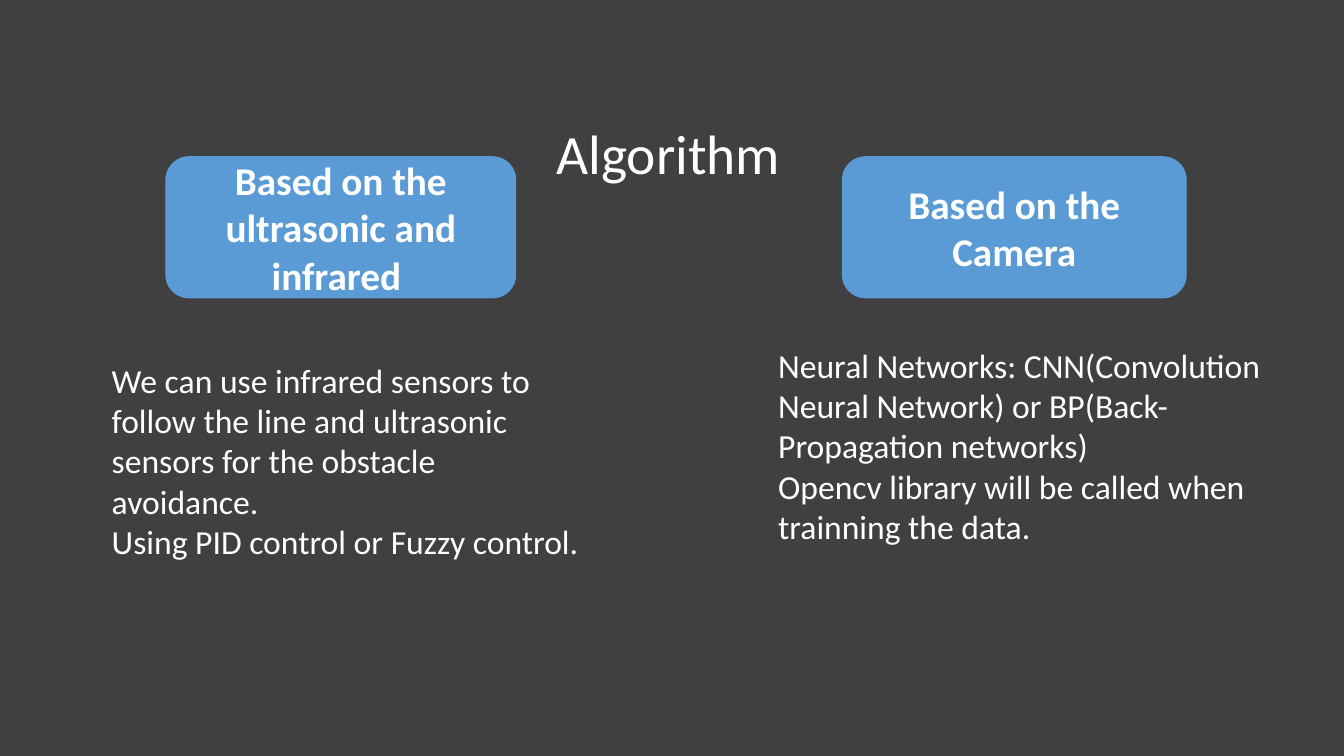
from dataclasses import dataclass

from pptx import Presentation
from pptx.dml.color import RGBColor
from pptx.enum import shapes, text
from pptx.slide import Slide
from pptx.text.text import TextFrame
from pptx.util import Inches, Pt

COLOURS = {"background": "404040", "heading": "5B9BD5", "text": "FFFFFF"}
FONT = "Calibri"
HEADING_TOP, HEADING_HEIGHT = 1.55, 1.41
DETAILS_HEIGHT = 2.13


@dataclass(frozen=True)
class Approach:
    heading: str
    heading_left: float
    heading_width: float
    details: tuple[str, ...]
    details_left: float
    details_top: float
    details_width: float


APPROACHES = (
    Approach(
        "Based on the ultrasonic and infrared ", 1.64, 3.48,
        ("We can use infrared sensors to follow the line and ultrasonic "
         "sensors for the obstacle avoidance.",
         "Using PID control or Fuzzy control."),
        1.01, 3.52, 4.92,
    ),
    Approach(
        "Based on the Camera", 8.35, 3.42,
        ("Neural Networks: CNN(Convolution Neural Network) or "
         "BP(Back-Propagation networks)",
         "Opencv library will be called when trainning the data."),
        7.62, 3.37, 5.06,
    ),
)


def colour(name: str) -> RGBColor:
    return RGBColor.from_string(COLOURS[name])


def write(frame: TextFrame, wording: str, size: float, bold: bool = False,
          align: text.PP_ALIGN = text.PP_ALIGN.LEFT) -> None:
    """Fill a frame, one paragraph per line of wording, and format its runs."""
    frame.word_wrap = True
    frame.text = wording
    for paragraph in frame.paragraphs:
        paragraph.alignment = align
        for run in paragraph.runs:
            run.font.name = FONT
            run.font.size = Pt(size)
            run.font.bold = bold
            run.font.color.rgb = colour("text")


def add_title(slide: Slide, wording: str) -> None:
    title = slide.shapes.add_textbox(
        Inches(5.42), Inches(1), Inches(2.92), Inches(1.1)).text_frame
    title.vertical_anchor = text.MSO_ANCHOR.MIDDLE
    write(title, wording, 39.6)
    title.paragraphs[0].line_spacing = 0.9


def add_approach(slide: Slide, approach: Approach) -> None:
    heading = slide.shapes.add_shape(
        shapes.MSO_SHAPE.ROUNDED_RECTANGLE,
        Inches(approach.heading_left), Inches(HEADING_TOP),
        Inches(approach.heading_width), Inches(HEADING_HEIGHT))
    heading.shadow.inherit = False
    heading.fill.solid()
    heading.fill.fore_color.rgb = colour("heading")
    heading.line.fill.background()
    heading.text_frame.vertical_anchor = text.MSO_ANCHOR.MIDDLE
    write(heading.text_frame, approach.heading, 28, True, text.PP_ALIGN.CENTER)

    details = slide.shapes.add_textbox(
        Inches(approach.details_left), Inches(approach.details_top),
        Inches(approach.details_width), Inches(DETAILS_HEIGHT))
    write(details.text_frame, "\n".join(approach.details), 24)


def main() -> None:
    deck = Presentation()
    deck.slide_width, deck.slide_height = Inches(13.33), Inches(7.5)
    slide = deck.slides.add_slide(deck.slide_layouts[6])
    slide.background.fill.solid()
    slide.background.fill.fore_color.rgb = colour("background")

    add_title(slide, "Algorithm")
    for approach in APPROACHES:
        add_approach(slide, approach)
    deck.save("out.pptx")


if __name__ == "__main__":
    main()
